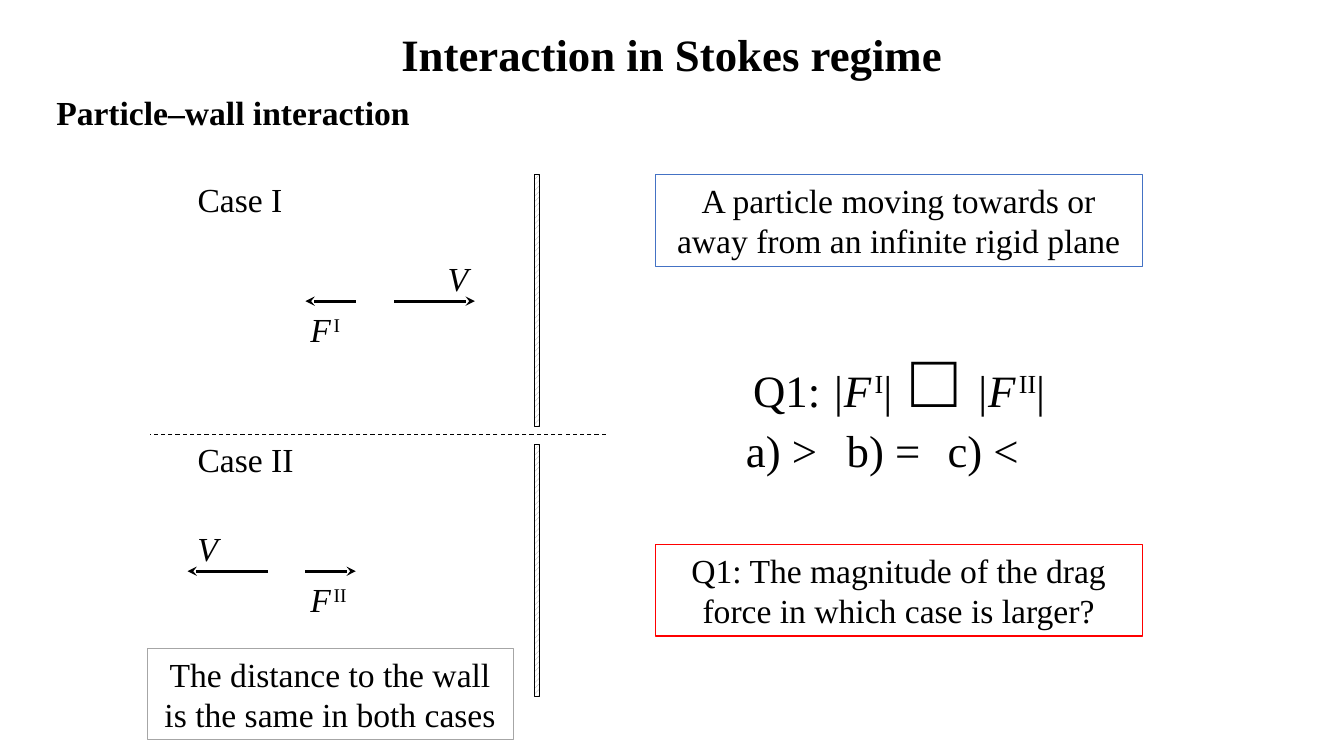
from lxml import etree
from pptx import Presentation
from pptx.dml.color import RGBColor
from pptx.enum.dml import MSO_LINE, MSO_PATTERN
from pptx.enum.shapes import MSO_CONNECTOR, MSO_SHAPE
from pptx.enum.text import MSO_ANCHOR, MSO_AUTO_SIZE, PP_ALIGN
from pptx.oxml.ns import qn
from pptx.util import Pt

FONT = "Times New Roman"
BLACK, WHITE, GREY, RED, BLUE = "000000", "FFFFFF", "A6A6A6", "FF0000", "4472C4"
CENTER, LEFT = PP_ALIGN.CENTER, PP_ALIGN.LEFT
TOP, MIDDLE = MSO_ANCHOR.TOP, MSO_ANCHOR.MIDDLE
NO_AUTOFIT = MSO_AUTO_SIZE.NONE
DASH = MSO_LINE.DASH
STRAIGHT = MSO_CONNECTOR.STRAIGHT
RECTANGLE = MSO_SHAPE.RECTANGLE
WIDE_UPWARD = MSO_PATTERN.WIDE_UPWARD_DIAGONAL
TITLE_ONLY = 5


def color(hex_value):
    """Return the colour for a hex string."""
    return RGBColor.from_string(hex_value)


def format_paragraph(paragraph, size, bold=None, align=LEFT):
    """Apply the slide's font to a paragraph."""
    paragraph.alignment = align
    paragraph.font.name = FONT
    paragraph.font.size = Pt(size)
    paragraph.font.bold = bold
    paragraph.font.color.rgb = color(BLACK)


def add_run(paragraph, text, italic=None, size=None, superscript=False):
    """Append a run with its own emphasis, size or baseline."""
    run = paragraph.add_run()
    run.text = text
    run.font.italic = italic
    if size:
        run.font.size = Pt(size)
    if superscript:
        run.font._element.set("baseline", "30000")


def add_force(paragraph, symbol, case, gap_size):
    """Append a force symbol with its case number raised."""
    add_run(paragraph, symbol, italic=True)
    add_run(paragraph, " ", size=gap_size)
    add_run(paragraph, case, superscript=True)


def add_text(slide, box, size, text="", bold=None, align=LEFT):
    """Add a text box and return its first paragraph."""
    frame = slide.shapes.add_textbox(*map(Pt, box)).text_frame
    frame.word_wrap = True
    paragraph = frame.paragraphs[0]
    format_paragraph(paragraph, size, bold, align)
    if text:
        add_run(paragraph, text)
    return paragraph


def add_symbol(slide, box):
    """Add a text box for a symbol beside an arrow."""
    paragraph = add_text(slide, box, 24)
    paragraph.line_spacing = 1.07
    paragraph.space_after = Pt(8)
    return paragraph


def add_line(slide, start, end, width):
    """Add a plain black line from start to end."""
    connector = slide.shapes.add_connector(STRAIGHT, *map(Pt, start + end))
    connector.line.color.rgb = color(BLACK)
    connector.line.width = Pt(width)
    etree.SubElement(connector._element.spPr, qn("a:effectLst"))
    return connector


def add_arrow(slide, tail, tip, y):
    """Add a horizontal arrow with a stealth head."""
    arrow = add_line(slide, (tail, y), (tip, y), 2.25)
    etree.SubElement(arrow.line._get_or_add_ln(), qn("a:tailEnd"), type="stealth")


def add_rectangle(slide, box, line_color, line_width):
    """Add an outlined rectangle without shadow."""
    shape = slide.shapes.add_shape(RECTANGLE, *map(Pt, box))
    shape.shadow.inherit = False
    shape.line.color.rgb = color(line_color)
    shape.line.width = Pt(line_width)
    return shape


def add_wall(slide, box):
    """Add a hatched wall."""
    fill = add_rectangle(slide, box, BLACK, 1).fill
    fill.patterned()
    fill.pattern = WIDE_UPWARD
    fill.fore_color.rgb = color(GREY)
    fill.back_color.rgb = color(WHITE)


def add_statement(slide, box, text, line_color):
    """Add a framed statement."""
    shape = add_rectangle(slide, box, line_color, 0.75)
    shape.fill.background()
    shape.text_frame.word_wrap = True
    shape.text_frame.vertical_anchor = MIDDLE
    paragraph = shape.text_frame.paragraphs[0]
    format_paragraph(paragraph, 24, align=CENTER)
    add_run(paragraph, text)


def add_case(slide, box, number, name_offset, velocity, velocity_label, force):
    """Draw one case: name, wall, velocity arrow and force arrow."""
    left, top, width, height = box
    axis = top + height / 2 + 0.5
    add_text(slide, (left, top + name_offset, 90, 36), 24, f"Case {number}")
    add_wall(slide, (left + width - 3.6, top, 3.6, height))
    label = add_symbol(slide, (left + velocity_label, axis - 36.7, 30, 36.7))
    add_run(label, "V", italic=True)
    label = add_symbol(slide, (left + 80.6, axis, 45, 36))
    add_force(label, "F", number, 8)
    for tail, tip in (velocity, force):
        add_arrow(slide, left + tail, left + tip, axis)


def add_heading(slide, title_box, subtitle_box):
    """Fill the title placeholder and add the subtitle."""
    title = slide.shapes.title
    title.left, title.top, title.width, title.height = map(Pt, title_box)
    frame = title.text_frame
    frame.text = "Interaction in Stokes regime"
    frame.auto_size = NO_AUTOFIT
    frame.vertical_anchor = TOP
    format_paragraph(frame.paragraphs[0], 32, True, CENTER)
    add_text(slide, subtitle_box, 24, "Particle‒wall interaction", bold=True)


def add_question(slide, box):
    """Add the comparison of both forces and its answer options."""
    comparison = add_text(slide, box, 32, "Q1: ", align=CENTER)
    add_force(comparison, "|F", "I", 10)
    add_run(comparison, "|")
    add_run(comparison, " □ ", size=54)
    add_force(comparison, "|F", "II", 10)
    add_run(comparison, "|")
    options = comparison._parent.add_paragraph()
    format_paragraph(options, 32)
    options.space_after = Pt(8)
    add_run(options, "a) >\tb) =\tc) <")
    properties = options._p.get_or_add_pPr()
    properties.set("marL", str(Pt(21)))
    properties.set("indent", "0")
    tabs = etree.Element(qn("a:tabLst"))
    for position in (104, 180):
        etree.SubElement(tabs, qn("a:tab"), pos=str(Pt(position)), algn="l")
    properties.find(qn("a:defRPr")).addprevious(tabs)


def main():
    """Build and save the slide."""
    presentation = Presentation()
    presentation.slide_width, presentation.slide_height = Pt(960), Pt(540)
    slide = presentation.slides.add_slide(presentation.slide_layouts[TITLE_ONLY])
    add_heading(slide, (64.8, 15.8, 830.2, 46), (33.1, 61.9, 342, 36))
    add_case(slide, (134, 124.6, 251.3, 180), "I", 0,
             (147.6, 205.2), 178.6, (120.2, 84.2))
    add_case(slide, (134, 317.5, 251.3, 180), "II", -7.2,
             (57.6, 0), 0, (84.2, 120.2))
    add_line(slide, (432.7, 310.3), (107.3, 310.3), 0.75).line.dash_style = DASH
    add_question(slide, (504.7, 233.3, 275, 111.6))
    add_statement(slide, (105.1, 463, 261.4, 65.5),
                  "The distance to the wall is the same in both cases", GREY)
    add_statement(slide, (468, 388.8, 347.8, 65.5),
                  "Q1: The magnitude of the drag force in which case is larger?", RED)
    add_statement(slide, (468, 124.6, 347.8, 65.5),
                  "A particle moving towards or away from an infinite rigid plane", BLUE)
    presentation.save("out.pptx")


if __name__ == "__main__":
    main()
